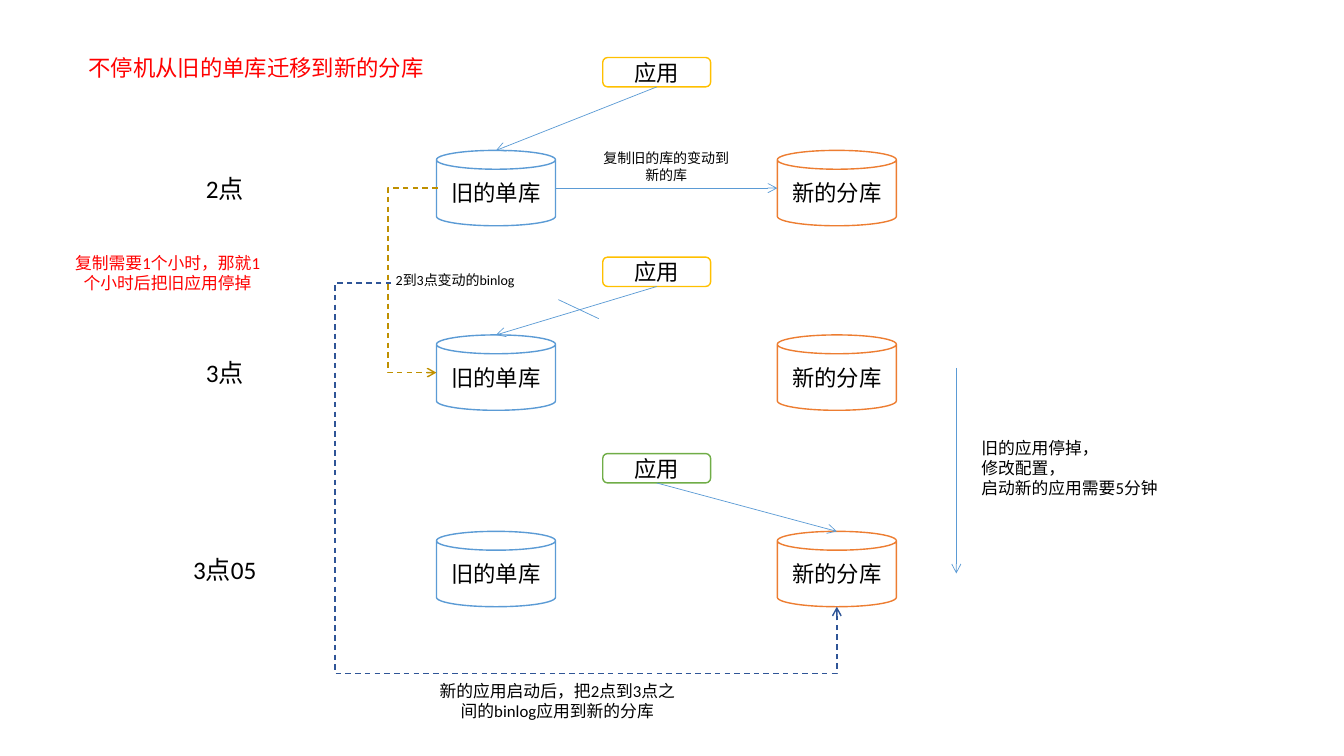
from dataclasses import dataclass
from typing import NamedTuple

from lxml.etree import SubElement
from pptx import Presentation
from pptx.dml.color import RGBColor
from pptx.enum.dml import MSO_LINE
from pptx.enum.shapes import MSO_CONNECTOR, MSO_SHAPE
from pptx.enum.text import MSO_ANCHOR, MSO_AUTO_SIZE, PP_ALIGN
from pptx.oxml.ns import qn
from pptx.util import Cm, Pt


@dataclass(frozen=True)
class Theme:
    """Colours, type sizes and line widths of the slide."""
    font: str = "Calibri"
    text: str = "000000"
    alert: str = "FF0000"
    paper: str = "FFFFFF"
    old: str = "5B9BD5"
    new: str = "ED7D31"
    old_app: str = "FFC000"
    new_app: str = "70AD47"
    binlog: str = "BF9000"
    replay: str = "2F5597"
    heading: int = 16
    time: int = 18
    node: int = 16
    note: int = 12
    caption: int = 10
    thin: float = 0.5
    outline: float = 1


class Box(NamedTuple):
    """Left, top, width and height in centimetres."""
    left: float
    top: float
    width: float
    height: float

    @property
    def right(self):
        """Return the right edge."""
        return self.left + self.width

    @property
    def bottom(self):
        """Return the bottom edge."""
        return self.top + self.height

    @property
    def center(self):
        """Return the horizontal centre."""
        return self.left + self.width / 2

    @property
    def middle(self):
        """Return the vertical centre."""
        return self.top + self.height / 2

    def lengths(self):
        """Return the four values as slide lengths."""
        return [Cm(value) for value in self]


THEME = Theme()
CAN_WIDTH, CAN_HEIGHT = 3, 1.9
APP_WIDTH, APP_HEIGHT = 2.72, 0.74


def write(frame, words, size, color=THEME.text, align=PP_ALIGN.CENTER):
    """Fill a text frame and format its runs."""
    frame.text = words
    frame.word_wrap = True
    for paragraph in frame.paragraphs:
        paragraph.alignment = align
        for run in paragraph.runs:
            run.font.name = THEME.font
            run.font.size = Pt(size)
            run.font.color.rgb = RGBColor.from_string(color)


def add_note(slide, box, words, size, color=THEME.text, align=PP_ALIGN.CENTER):
    """Add a wrapped text box."""
    note = slide.shapes.add_textbox(*box.lengths())
    write(note.text_frame, words, size, color, align)


def add_node(slide, box, kind, words, color):
    """Add an outlined shape with centred text."""
    node = slide.shapes.add_shape(kind, *box.lengths())
    node.shadow.inherit = False
    node.fill.solid()
    node.fill.fore_color.rgb = RGBColor.from_string(THEME.paper)
    node.line.color.rgb = RGBColor.from_string(color)
    node.line.width = Pt(THEME.outline)
    node.text_frame.vertical_anchor = MSO_ANCHOR.MIDDLE
    write(node.text_frame, words, THEME.node)


def add_line(slide, start, end, color=THEME.old, width=THEME.thin, arrow=True,
             kind=MSO_CONNECTOR.STRAIGHT):
    """Add a connector, with an arrowhead at its end if wanted."""
    ends = [Cm(value) for value in (*start, *end)]
    line = slide.shapes.add_connector(kind, *ends)
    line.line.color.rgb = RGBColor.from_string(color)
    line.line.width = Pt(width)
    properties = line.element.spPr
    if arrow:
        SubElement(properties.find(qn("a:ln")), qn("a:tailEnd"), type="arrow")
    SubElement(properties, qn("a:effectLst"))
    return line


def add_bent_arrow(slide, start, end, color, preset, bends):
    """Add a dashed elbow arrow whose bends are fractions of its extent."""
    arrow = add_line(slide, start, end, color, THEME.outline, kind=MSO_CONNECTOR.ELBOW)
    arrow.line.dash_style = MSO_LINE.DASH
    geometry = arrow.element.spPr.find(qn("a:prstGeom"))
    geometry.set("prst", preset)
    guides = geometry.get_or_add_avLst()
    for number, bend in enumerate(bends, 1):
        SubElement(guides, qn("a:gd"), name=f"adj{number}",
                   fmla=f"val {round(bend * 100000)}")


def add_heading(slide, box):
    """Place and format the title."""
    title = slide.shapes.title
    title.left, title.top, title.width, title.height = box.lengths()
    frame = title.text_frame
    write(frame, "不停机从旧的单库迁移到新的分库", THEME.heading, THEME.alert, PP_ALIGN.LEFT)
    frame.auto_size = MSO_AUTO_SIZE.NONE
    frame.vertical_anchor = MSO_ANCHOR.TOP


def add_stage(slide, box, time, app_color, uses_new=False):
    """Draw one moment: time, application and both databases; return the databases."""
    database_top = box.bottom - CAN_HEIGHT
    old = Box(box.left + 6.63, database_top, CAN_WIDTH, CAN_HEIGHT)
    new = Box(box.right - CAN_WIDTH, database_top, CAN_WIDTH, CAN_HEIGHT)
    app = Box(box.left + 10.82, box.top, APP_WIDTH, APP_HEIGHT)
    add_note(slide, Box(box.left, database_top + 0.45, 2.59, 1.02), time, THEME.time)
    add_node(slide, old, MSO_SHAPE.CAN, "旧的单库", THEME.old)
    add_node(slide, new, MSO_SHAPE.CAN, "新的分库", THEME.new)
    add_node(slide, app, MSO_SHAPE.ROUNDED_RECTANGLE, "应用", app_color)
    target = new if uses_new else old
    add_line(slide, (app.center, app.bottom), (target.center, target.top))
    return old, new


def add_copy(slide, old, new):
    """Show the copy from the old database to the new one."""
    add_line(slide, (old.right, old.middle), (new.left, new.middle))
    add_note(slide, Box(old.right + 0.91, old.top - 0.15, 3.76, 1.12),
             "复制旧的库的变动到新的库", THEME.caption)


def add_stop(slide, box):
    """Strike out the old application's access and explain the stop."""
    add_note(slide, box, "复制需要1个小时，那就1个小时后把旧应用停掉", THEME.note, THEME.alert)
    strike = Box(box.left + 12.55, box.top + 1.3, 1.02, 0.48)
    add_line(slide, strike[:2], (strike.right, strike.bottom), arrow=False)


def add_binlog(slide, box, target):
    """Draw the binlog span at the box's left side and its replay into the target."""
    overlap = 0.03
    add_bent_arrow(slide, (box.right + overlap, box.top), (box.right, box.bottom),
                   THEME.binlog, "bentConnector3", [(box.width + overlap) / overlap])
    start = box.left + 0.08, box.top + 2.39
    end = target.center, target.bottom
    reach, drop = end[0] - start[0], end[1] - start[1]
    add_bent_arrow(slide, start, end, THEME.replay, "bentConnector4",
                   [-1.42 / reach, 1 + 1.68 / drop])
    add_note(slide, Box(box.left - 0.2, box.top + 1.98, 3.78, 0.69),
             "2到3点变动的binlog", THEME.caption)
    add_note(slide, Box(box.left + 1.04, target.bottom + 1.73, 6.45, 1.27),
             "新的应用启动后，把2点到3点之间的binlog应用到新的分库", THEME.note)


def add_restart(slide, box):
    """Show how long the switch to the new application takes."""
    add_line(slide, (box.left, box.top), (box.left, box.bottom))
    add_note(slide, Box(box.left + 0.38, box.top + 1.63, box.width - 0.38, 1.8),
             "旧的应用停掉，\n修改配置，\n启动新的应用需要5分钟", THEME.note, align=PP_ALIGN.LEFT)


def main():
    """Build the slide and save it."""
    deck = Presentation()
    deck.slide_width, deck.slide_height = Cm(33.87), Cm(19.05)
    slide = deck.slides.add_slide(deck.slide_layouts[5])
    add_heading(slide, Box(1.98, 1.24, 9.55, 0.94))
    copying = add_stage(slide, Box(4.37, 1.45, 18.22, 4.24), "2点", THEME.old_app)
    stopped = add_stage(slide, Box(4.37, 6.48, 18.22, 3.86), "3点", THEME.old_app)
    switched = add_stage(slide, Box(4.37, 11.43, 18.22, 3.86), "3点05",
                         THEME.new_app, uses_new=True)
    add_copy(slide, *copying)
    add_stop(slide, Box(1.52, 6.25, 5.41, 1.27))
    first, second = copying[0], stopped[0]
    span = Box(first.left - 1.22, first.middle, 1.22, second.middle - first.middle)
    add_binlog(slide, span, switched[1])
    add_restart(slide, Box(24.1, 9.27, 5.79, 5.18))
    deck.save("out.pptx")


main()
